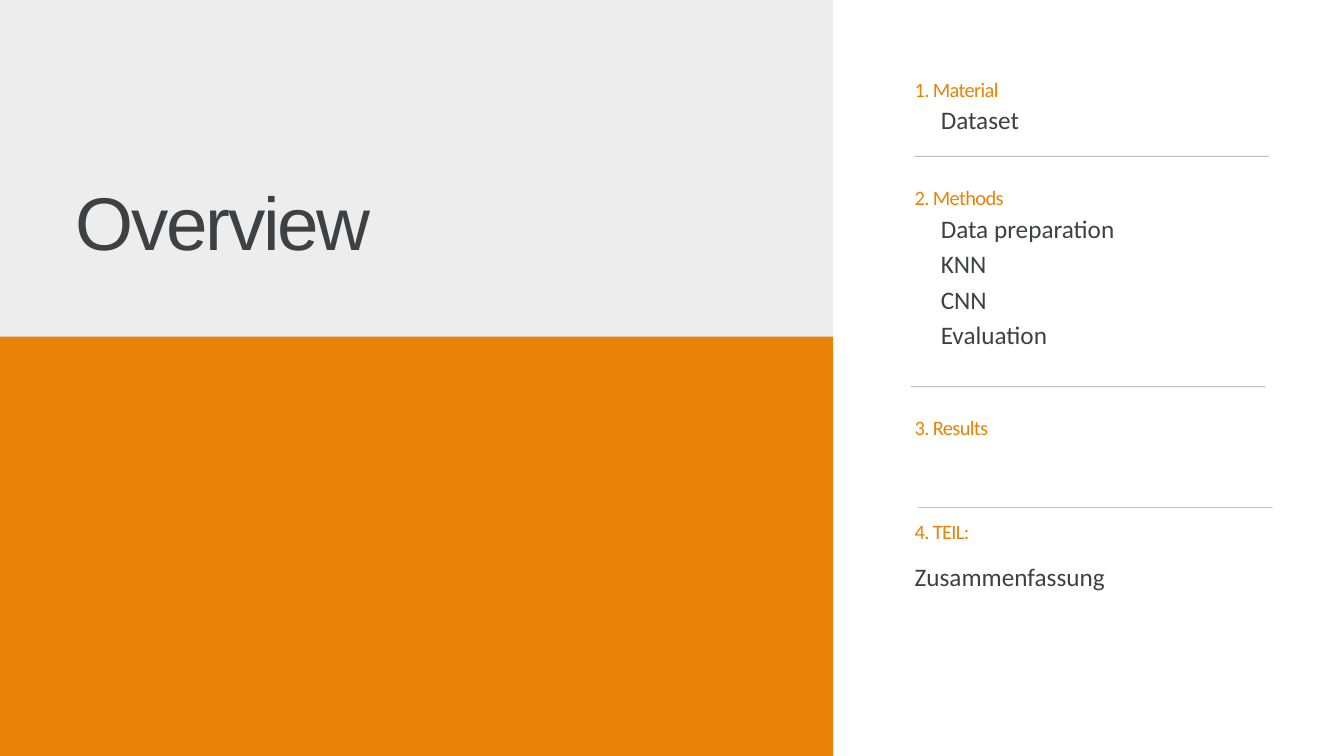
from lxml.etree import SubElement
from pptx import Presentation
from pptx.dml.color import RGBColor
from pptx.enum.shapes import MSO_SHAPE
from pptx.enum.text import MSO_ANCHOR, PP_ALIGN
from pptx.oxml.ns import qn
from pptx.util import Inches, Pt

TITLE = "Overview"

# top: heading position; gap: heading to items; rule: (left, top) of the divider
SECTIONS = [
    {"heading": "1. Material", "items": ["Dataset"],
     "top": 1.11, "gap": 0.37, "indent": 0.39, "rule": (13.61, 2.32)},
    {"heading": "2. Methods",
     "items": ["Data preparation", "KNN", "CNN", "Evaluation"],
     "top": 2.72, "gap": 0.38, "indent": 0.39, "rule": (13.56, 5.75)},
    {"heading": "3. Results", "items": [],
     "top": 6.15, "gap": 0, "indent": 0, "rule": (13.67, 7.55)},
    {"heading": "4. TEIL:", "items": ["Zusammenfassung"],
     "top": 7.69, "gap": 0.59, "indent": 0, "rule": None},
]

THEME = {
    "panel": "EDEDED",
    "accent": "EB8208",
    "ink": "3F4042",
    "title": {"name": "Arial", "size": 80, "color": "ink", "leading": 104, "tracking": -2.4},
    "heading": {"name": "Calibri", "size": 21.9, "color": "accent", "leading": 28.5, "tracking": -0.7},
    "item": {"name": "Calibri", "size": 27, "color": "ink", "leading": 37.8, "tracking": 0},
}

SLIDE_W, SLIDE_H = 20, 11.25
PANEL_W = SLIDE_W * 0.62
BAND_TOP = 5.01
AGENDA_LEFT, AGENDA_W = 13.61, 5.27
RULE_H = 0.01


def add_block(slide, left, top, width, height, color, opacity=100):
    block = slide.shapes.add_shape(
        MSO_SHAPE.RECTANGLE, *map(Inches, (left, top, width, height)))
    block.shadow.inherit = False
    block.line.fill.background()
    block.fill.solid()
    block.fill.fore_color.rgb = RGBColor.from_string(THEME[color])
    if opacity < 100:
        tint = block._element.spPr.find(qn("a:solidFill"))[0]
        SubElement(tint, qn("a:alpha")).set("val", str(opacity * 1000))


def add_lines(slide, left, top, width, lines, style_name):
    style = THEME[style_name]
    height = len(lines) * style["leading"] / 72
    frame = slide.shapes.add_textbox(
        *map(Inches, (left, top, width, height))).text_frame
    frame_format = {"word_wrap": True, "vertical_anchor": MSO_ANCHOR.TOP,
                    "margin_left": 0, "margin_right": 0,
                    "margin_top": 0, "margin_bottom": 0}
    for attribute, value in frame_format.items():
        setattr(frame, attribute, value)
    for index, line in enumerate(lines):
        paragraph = frame.paragraphs[0] if index == 0 else frame.add_paragraph()
        paragraph.alignment = PP_ALIGN.LEFT
        paragraph.line_spacing = Pt(style["leading"])
        run = paragraph.add_run()
        run.text = line
        run.font.name = style["name"]
        run.font.size = Pt(style["size"])
        run.font.color.rgb = RGBColor.from_string(THEME[style["color"]])
        if style["tracking"]:
            run.font._element.set("spc", str(round(style["tracking"] * 100)))


def add_section(slide, section):
    add_lines(slide, AGENDA_LEFT, section["top"], AGENDA_W,
              [section["heading"]], "heading")
    if section["items"]:
        indent = section["indent"]
        add_lines(slide, AGENDA_LEFT + indent, section["top"] + section["gap"],
                  AGENDA_W - indent, section["items"], "item")
    if section["rule"]:
        add_block(slide, *section["rule"], AGENDA_W, RULE_H, "ink", opacity=50)


def main():
    deck = Presentation()
    deck.slide_width, deck.slide_height = Inches(SLIDE_W), Inches(SLIDE_H)
    slide = deck.slides.add_slide(deck.slide_layouts[6])
    add_block(slide, 0, 0, PANEL_W, SLIDE_H, "panel")
    for section in SECTIONS:
        add_section(slide, section)
    add_block(slide, 0, BAND_TOP, PANEL_W, SLIDE_H - BAND_TOP, "accent")
    add_lines(slide, 1.12, 2.5, 10.12, [TITLE], "title")
    deck.save("out.pptx")


if __name__ == "__main__":
    main()
